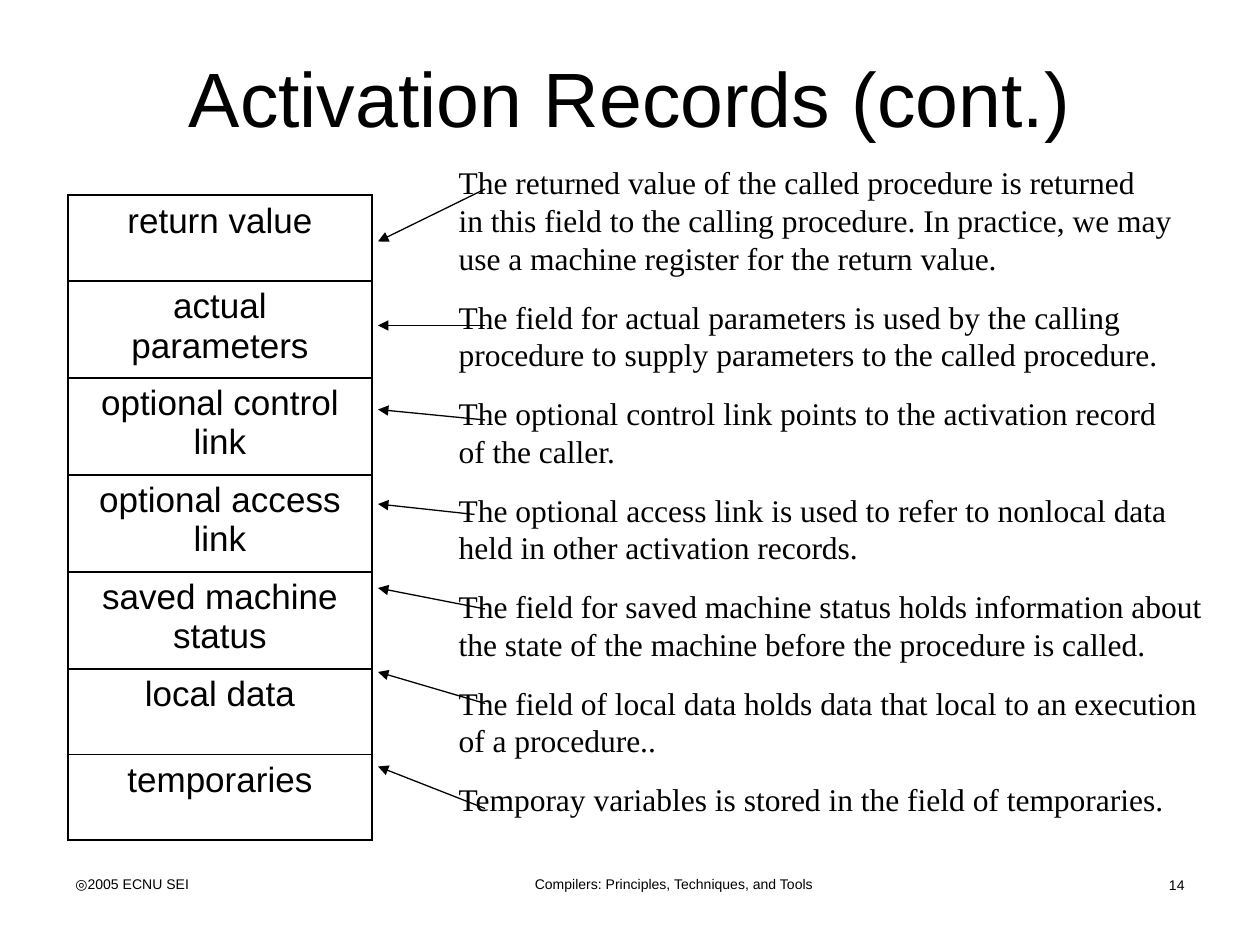
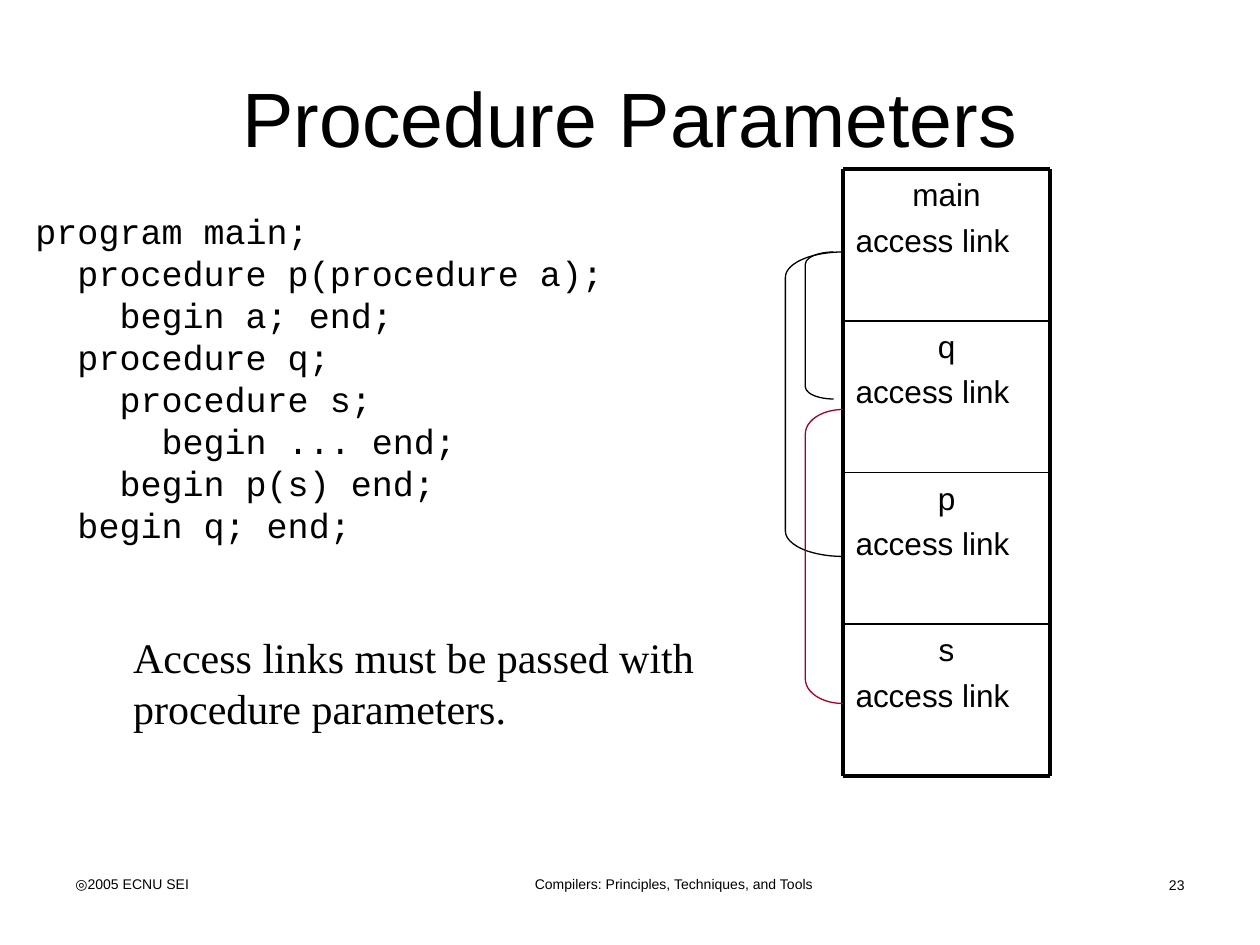
from lxml import etree
from pptx import Presentation
from pptx.dml.color import RGBColor
from pptx.enum.shapes import MSO_CONNECTOR, MSO_SHAPE
from pptx.enum.text import MSO_ANCHOR, MSO_AUTO_SIZE, PP_ALIGN
from pptx.oxml.ns import qn
from pptx.util import Emu, Inches, Pt

LEFT, CENTER, RIGHT = PP_ALIGN.LEFT, PP_ALIGN.CENTER, PP_ALIGN.RIGHT
MIDDLE = MSO_ANCHOR.MIDDLE
FIT_SHAPE, NO_FIT = MSO_AUTO_SIZE.SHAPE_TO_FIT_TEXT, MSO_AUTO_SIZE.NONE
STRAIGHT = MSO_CONNECTOR.STRAIGHT
LEFT_BRACKET = MSO_SHAPE.LEFT_BRACKET

SLIDE_WIDTH, SLIDE_HEIGHT = Inches(10), Inches(7.5)
GRID_COLUMNS = 120
BLACK, CRIMSON = "000000", "A50021"
SANS, SERIF, MONO = "Arial", "Times New Roman", "Courier New"
TITLE_ONLY = 5

FIELDS = [
    ("return value", 8.16),
    ("actual parameters", 9.24),
    ("optional control link", 9.24),
    ("optional access link", 9.24),
    ("saved machine status", 9.24),
    ("local data", 8.16),
    ("temporaries", 8.16),
]
DESCRIPTIONS = [
    "The returned value of the called procedure is returned\v"
    "in this field to the calling procedure. In practice, we may\v"
    "use a machine register for the return value.",
    "The field for actual parameters is used by the calling\v"
    "procedure to supply parameters to the called procedure.",
    "The optional control link points to the activation record\vof the caller.",
    "The optional access link is used to refer to nonlocal data\v"
    "held in other activation records.",
    "The field for saved machine status holds information about\v"
    "the state of the machine before the procedure is called.",
    "The field of local data holds data that local to an execution\v"
    "of a procedure..",
    "Temporay variables is stored in the field of temporaries.",
]
FIELD_ARROWS = [
    (46.2, 18, 23), (46.2, 31, 31), (46.2, 40, 39), (45.2, 49, 48),
    (46.2, 58, 56), (46.2, 67, 64), (46.2, 77, 73),
]
PROGRAM = """program main;
  procedure p(procedure a);
    begin a; end;
  procedure q;
    procedure s;
      begin ... end;
    begin p(s) end;
  begin q; end;"""
ACCESS_LINKS = [
    (76.7, 24, 2.7, 14, BLACK),
    (74.8, 24, 5.5, 29, BLACK),
    (76.7, 39, 3.6, 28, CRIMSON),
]


def grid(*cells):
    """Turn grid counts into lengths; rows are as high as columns are wide."""
    return [Emu(round(SLIDE_WIDTH * cell / GRID_COLUMNS)) for cell in cells]


def color(hex_string):
    """Make a colour from a hex string."""
    return RGBColor.from_string(hex_string)


def write(frame, paragraphs, size=18, font=SANS, align=LEFT, spacing=None, gap=0):
    """Fill a text frame with paragraphs in one format."""
    for index, content in enumerate(paragraphs):
        paragraph = frame.add_paragraph() if index else frame.paragraphs[0]
        paragraph.text = content
        paragraph.alignment = align
        if spacing:
            paragraph.line_spacing = Pt(spacing)
        if index and gap:
            paragraph.space_before = Pt(gap)
        for run in paragraph.runs:
            run.font.size = Pt(size)
            run.font.name = font
            run.font.color.rgb = color(BLACK)


def add_text(slide, area, paragraphs, wrap=True, **text_format):
    """Add a text box that wraps, or one that fits its lines."""
    frame = slide.shapes.add_textbox(*grid(*area)).text_frame
    frame.word_wrap = wrap
    frame.auto_size = NO_FIT if wrap else FIT_SHAPE
    write(frame, paragraphs, **text_format)


def add_line(slide, start, end, width=0.75, arrow=False):
    """Draw a straight black line, with an arrowhead if wanted."""
    line = slide.shapes.add_connector(STRAIGHT, *grid(*start, *end))
    line.line.color.rgb = color(BLACK)
    line.line.width = Pt(width)
    if arrow:
        etree.SubElement(line.line._get_or_add_ln(), qn("a:tailEnd"), type="triangle")
    etree.SubElement(line._element.spPr, qn("a:effectLst"))


def add_link(slide, left, top, width, height, line_color):
    """Draw an access link as an open bracket."""
    link = slide.shapes.add_shape(LEFT_BRACKET, *grid(left, top, width, height))
    link.adjustments[0] = height / 12 / width
    link.shadow.inherit = False
    link.fill.background()
    link.line.color.rgb = color(line_color)
    link.line.width = Pt(0.75)


def border_cell(cell, width=1.08):
    """Draw all four borders of a table cell."""
    properties = cell._tc.get_or_add_tcPr()
    for index, side in enumerate(("lnL", "lnR", "lnT", "lnB")):
        border = etree.Element(qn(f"a:{side}"), w=str(Pt(width)))
        fill = etree.SubElement(border, qn("a:solidFill"))
        etree.SubElement(fill, qn("a:srgbClr"), val=BLACK)
        properties.insert(index, border)


def add_record_table(slide, left, top, width):
    """Add the one-column table of activation record fields."""
    height = sum(rows for _, rows in FIELDS)
    frame = slide.shapes.add_table(len(FIELDS), 1, *grid(left, top, width, height))
    table = frame.table
    table.first_row = table.horz_banding = False
    for row, (field, rows) in zip(table.rows, FIELDS):
        row.height = grid(rows)[0]
        cell = row.cells[0]
        cell.fill.background()
        border_cell(cell)
        write(cell.text_frame, [field], size=20, align=CENTER)


def add_stack(slide, left, top, width, row_height, procedures):
    """Add a stack of frames, each with a procedure name and its access link."""
    right, bottom = left + width, top + row_height * len(procedures)
    for index, procedure in enumerate(procedures):
        row_top = top + index * row_height
        add_text(slide, (left, row_top, width, row_height),
                 [procedure, "access link"], spacing=21.5, gap=4.5)
        frame = slide.shapes[-1].text_frame
        frame.paragraphs[0].alignment = CENTER
        if index:
            add_line(slide, (left, row_top), (right, row_top), width=1)
    for y in (top, bottom):
        add_line(slide, (left, y), (right, y), width=2.25)
    for x in (left, right):
        add_line(slide, (x, top), (x, bottom), width=2.25)


def add_slide(deck, title, title_height, number):
    """Add a slide with its title and the shared footer."""
    slide = deck.slides.add_slide(deck.slide_layouts[TITLE_ONLY])
    heading = slide.shapes.title
    heading.left, heading.top, heading.width, heading.height = grid(
        6, 3.6, 108, title_height)
    heading.text_frame.vertical_anchor = MIDDLE
    heading.text_frame.auto_size = NO_FIT
    write(heading.text_frame, [title], size=44, align=CENTER)
    for area, label, align in (
        ((39.2, 82.8, 50, 3.4), "Compilers: Principles, Techniques, and Tools", CENTER),
        ((97.8, 82.9, 16.2, 2.8), str(number), RIGHT),
        ((6, 82.8, 28, 3.7), "◎2005 ECNU SEI", LEFT),
    ):
        add_text(slide, area, [label], size=8, align=align)
    return slide


def add_activation_records(deck):
    """Build the slide on the fields of an activation record."""
    slide = add_slide(deck, "Activation Records (cont.)", 11.2, 14)
    add_record_table(slide, 6.5, 18.6, 28.9)
    add_text(slide, (42.5, 15, 73.9, 63.6), DESCRIPTIONS, wrap=False,
             font=SERIF, spacing=21.5, gap=12.2)
    for start_x, start_y, end_y in FIELD_ARROWS:
        add_line(slide, (start_x, start_y), (36, end_y), arrow=True)


def add_procedure_parameters(deck):
    """Build the slide on access links passed with procedure parameters."""
    slide = add_slide(deck, "Procedure Parameters", 15, 23)
    add_text(slide, (2.2, 19.4, 56.5, 33.2), PROGRAM.split("\n"), wrap=False,
             size=20, font=MONO, spacing=24)
    add_stack(slide, 80.3, 16.1, 19.7, 14.45, ["main", "q", "p", "s"])
    for link in ACCESS_LINKS:
        add_link(slide, *link)
    add_text(slide, (11.5, 59.5, 56.8, 10.8),
             ["Access links must be passed with", "procedure parameters."],
             wrap=False, size=24, font=SERIF, spacing=29)


def main():
    """Build and save the deck."""
    deck = Presentation()
    deck.slide_width, deck.slide_height = SLIDE_WIDTH, SLIDE_HEIGHT
    add_activation_records(deck)
    add_procedure_parameters(deck)
    deck.save("out.pptx")


if __name__ == "__main__":
    main()
